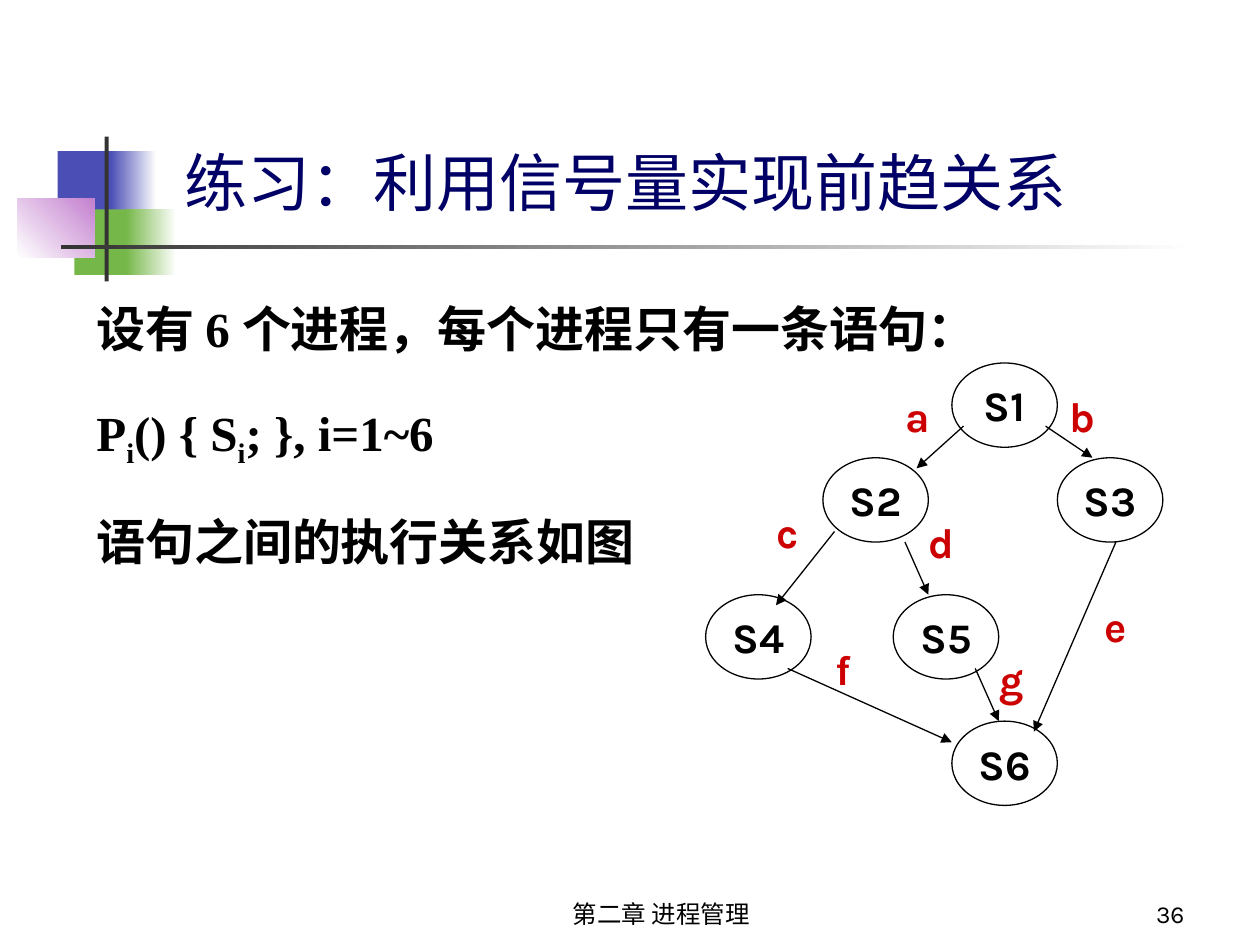
from lxml import etree
from pptx import Presentation
from pptx.dml.color import RGBColor
from pptx.enum import shapes, text
from pptx.oxml.ns import qn
from pptx.util import Pt

BLACK, RED, NAVY = "000000", "CC0000", "000066"
SERIF, SANS = "Times New Roman", "Karla"
LEFT, MID, RIGHT = text.PP_ALIGN.LEFT, text.PP_ALIGN.CENTER, text.PP_ALIGN.RIGHT

# Content
TITLE = "练习：利用信号量实现前趋关系"
BODY = [  # runs of each paragraph, True for subscript
    [("设有 6 个进程，每个进程只有一条语句：", False)],
    [("P", False), ("i", True), ("() { S", False), ("i", True), ("; }, i=1~6", False)],
    [("语句之间的执行关系如图", False)],
]
FOOTER = [  # text, box, alignment
    ("第二章 进程管理", (264, 498, 228, 36), MID),
    ("36", (534, 498, 150, 36), RIGHT),
]
DECOR = [  # box, start colour, end colour, angle
    ((33, 86.4, 34.6, 37.4), "4B4EB5", None, 0),
    ((63.4, 86.4, 25.9, 37.4), "4B4EB5", "FFFFFF", 0),
    ((42.5, 119.7, 33.1, 37.4), "76B749", None, 0),
    ((72, 119.7, 28.8, 37.4), "76B749", "FFFFFF", 0),
    ((9.8, 113.6, 44.2, 33.4), "FFFFFF", "C481CF", 45),
    ((59.8, 78, 2.3, 82.8), "333333", None, 0),
    ((34.7, 140.1, 648, 2.5), "333333", "FFFFFF", 0),
]

# Graph, in grid columns and rows
NODES = {"S1": (21, 0), "S2": (10, 9), "S3": (30, 9),
         "S4": (0, 22), "S5": (16, 22), "S6": (21, 34)}
EDGES = [  # name, label place, start, end
    ("a", (16, 2), (22, 6), (18, 10)),
    ("b", (30, 2), (29, 6), (33, 9)),
    ("c", (5, 13), (11, 16), (6, 23)),
    ("d", (18, 14), (17, 17), (19, 22)),
    ("f", (10, 26), (7, 29), (21, 36)),
    ("g", (24, 27), (23, 29), (25, 34)),
    ("e", (33, 22), (35, 17), (28, 35)),
]
COL, ROW = 6.7, 6.02
ORIGIN = (403.2, 207.4)

deck = Presentation()
deck.slide_width, deck.slide_height = Pt(720), Pt(540)
slide = deck.slides.add_slide(deck.slide_layouts[6])


def color(code):
    return RGBColor.from_string(code)


def spot(cell):
    return ORIGIN[0] + COL * cell[0], ORIGIN[1] + ROW * cell[1]


def style(par, size, face, tint, bold=False, align=LEFT):
    par.alignment = align
    for run in par.runs:
        font = run.font
        font.size, font.name, font.bold = Pt(size), face, bold
        font.color.rgb = color(tint)


def add_text(words, box, size, face, tint, bold=False, align=LEFT,
             anchor=text.MSO_ANCHOR.TOP, wrap=True):
    frame = slide.shapes.add_textbox(*map(Pt, box)).text_frame
    frame.word_wrap, frame.vertical_anchor = wrap, anchor
    frame.text = words
    style(frame.paragraphs[0], size, face, tint, bold, align)


def add_shape(kind, box):
    shape = slide.shapes.add_shape(kind, *map(Pt, box))
    shape.shadow.inherit = False
    return shape


# Corner blocks and title rule
for box, start, end, angle in DECOR:
    block = add_shape(shapes.MSO_SHAPE.RECTANGLE, box)
    block.line.fill.background()
    if end:
        block.fill.gradient()
        block.fill.gradient_angle = angle
        for stop, tint in zip(block.fill.gradient_stops, (start, end)):
            stop.color.rgb = color(tint)
    else:
        block.fill.solid()
        block.fill.fore_color.rgb = color(start)

# Footer
for words, box, align in FOOTER:
    add_text(words, box, 14, SANS, BLACK, align=align, anchor=text.MSO_ANCHOR.BOTTOM)

# Body
frame = slide.shapes.add_textbox(Pt(48), Pt(150), Pt(538.6), Pt(187)).text_frame
frame.word_wrap = True
for n, runs in enumerate(BODY):
    par = frame.paragraphs[0] if n == 0 else frame.add_paragraph()
    par.line_spacing = 1.5
    if n:
        par.space_before = Pt(7)
    for words, sub in runs:
        run = par.add_run()
        run.text = words
        if sub:
            run.font._element.set("baseline", "-25000")
    style(par, 28, SERIF, BLACK, bold=True)

# Nodes
for name, cell in NODES.items():
    node = add_shape(shapes.MSO_SHAPE.OVAL, (*spot(cell), 9 * COL, 8 * ROW))
    node.fill.background()
    node.line.color.rgb, node.line.width = color(BLACK), Pt(0.75)
    frame = node.text_frame
    frame.word_wrap, frame.vertical_anchor = False, text.MSO_ANCHOR.MIDDLE
    frame.text = name
    style(frame.paragraphs[0], 24, SANS, BLACK, bold=True, align=MID)

# Arrows and their labels
for name, place, start, end in EDGES:
    arrow = slide.shapes.add_connector(
        shapes.MSO_CONNECTOR.STRAIGHT, *map(Pt, spot(start) + spot(end)))
    arrow.line.color.rgb, arrow.line.width = color(BLACK), Pt(0.75)
    etree.SubElement(arrow.line._get_or_add_ln(), qn("a:tailEnd"), type="triangle")
    etree.SubElement(arrow._element.spPr, qn("a:effectLst"))
    add_text(name, (*spot(place), 26.6, 36), 24, SANS, RED, bold=True)

# Title
add_text(TITLE, (98.6, 78.5, 518.4, 50.4), 36, SERIF, NAVY, wrap=False)

deck.save("out.pptx")
